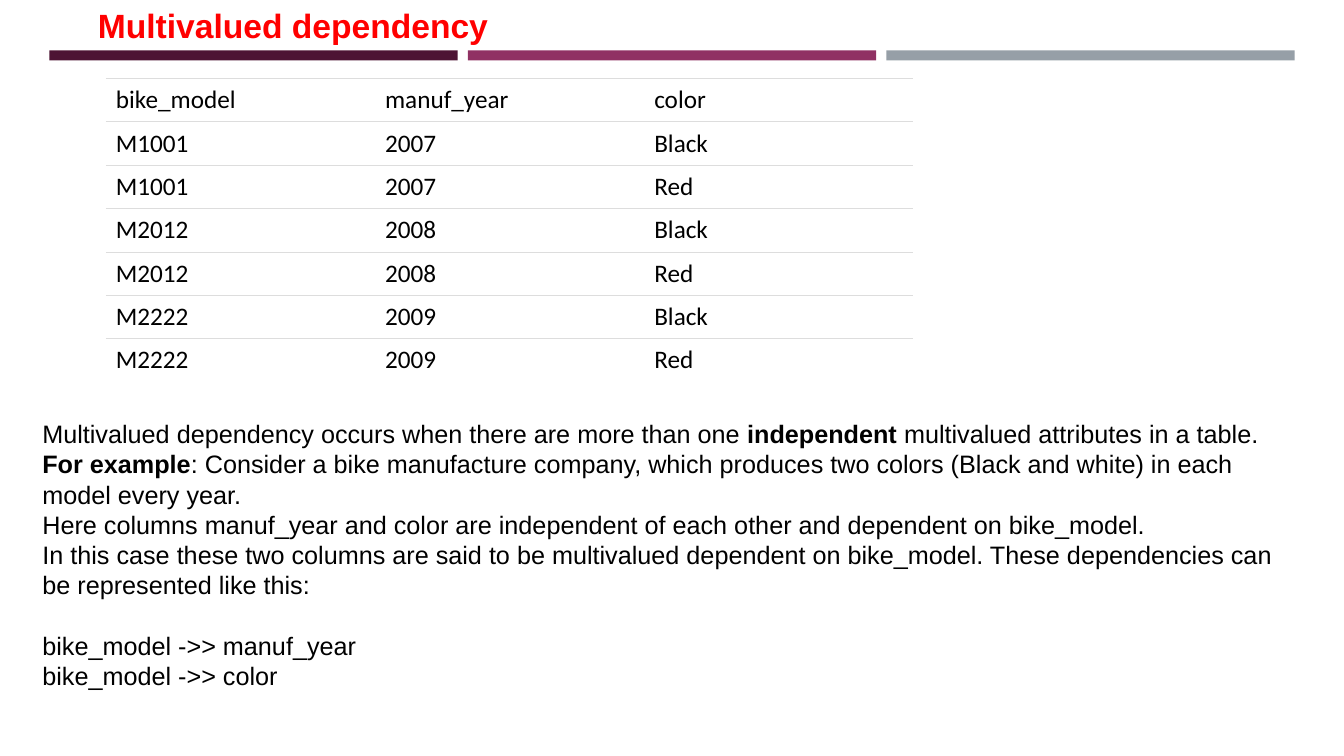
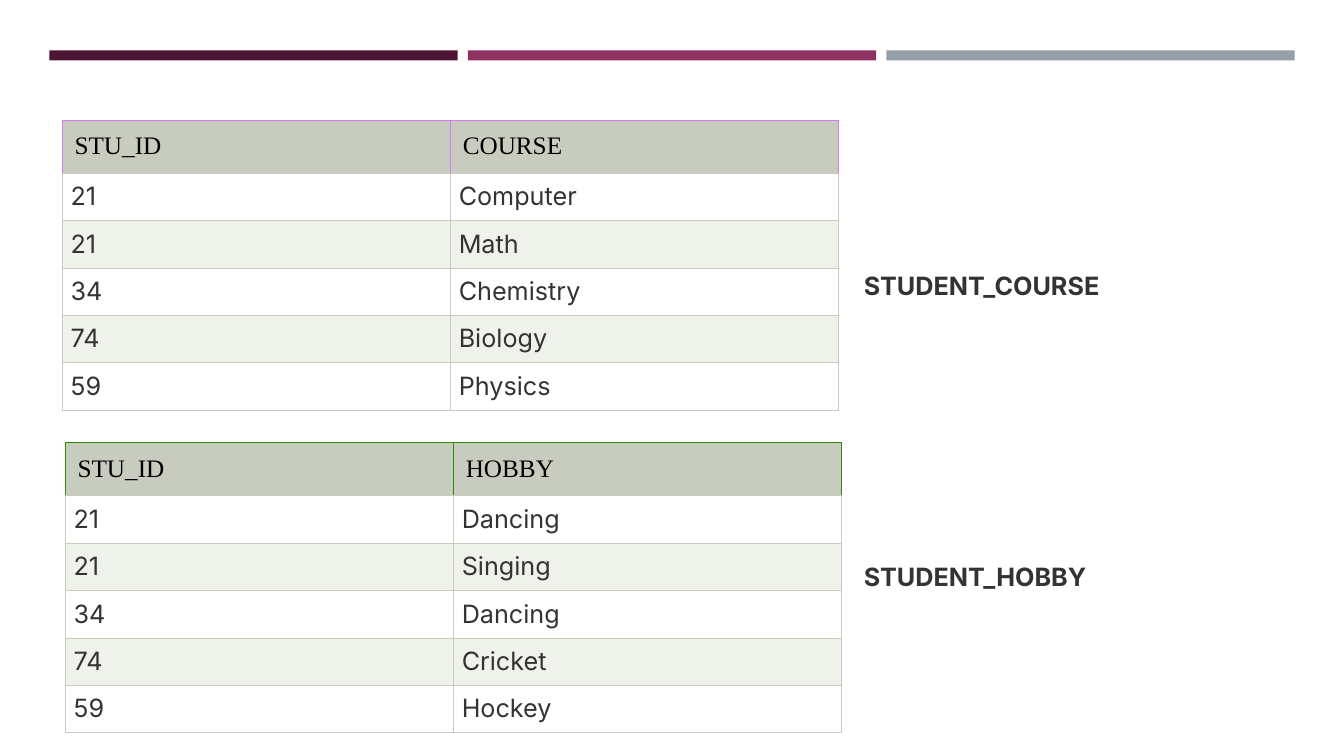
import pptx
import pptx.dml.color
import pptx.enum.shapes
import pptx.enum.text
import pptx.oxml
import pptx.oxml.ns
import pptx.util

Inches = pptx.util.Inches
Pt = pptx.util.Pt
ALIGN = pptx.enum.text.PP_ALIGN
ANCHOR = pptx.enum.text.MSO_ANCHOR

COLORS = {
    "plum": "4D1434", "magenta": "903163", "slate": "969FA7",
    "title": "FF0000", "black": "000000", "ink": "333333",
    "rule": "DDDDDD", "sage": "C7CCBE", "pale": "EFF1EB", "white": "FFFFFF",
    "violet": "D879F5", "green": "308A09",
}
LAYOUT_CONTENT, LAYOUT_BLANK = 1, 6

BIKES = [("bike_model", "manuf_year", "color")] + [
    (model, year, color)
    for model, year in (("M1001", "2007"), ("M2012", "2008"), ("M2222", "2009"))
    for color in ("Black", "Red")
]
STUDENT_IDS = ("21", "21", "34", "74", "59")
COURSES = ("Computer", "Math", "Chemistry", "Biology", "Physics")
HOBBIES = ("Dancing", "Singing", "Dancing", "Cricket", "Hockey")

# Each paragraph is a list of (text, bold) spans.
EXPLANATION = [
    [("Multivalued dependency occurs when there are more than one ", False),
     ("independent", True),
     (" multivalued attributes in a table.", False)],
    [("For example", True),
     (": Consider a bike manufacture company, which produces two colors "
      "(Black and white) in each model every year.", False)],
    [("Here columns manuf_year and color are independent of each other and "
      "dependent on bike_model.", False)],
    [("In this case these two columns are said to be multivalued dependent on "
      "bike_model. These dependencies can be represented like this:", False)],
    [("bike_model ->> manuf_year", False)],
    [("bike_model ->> color", False)],
]
FIRST_FORMULA = 4


def rgb(name):
    return pptx.dml.color.RGBColor.from_string(COLORS[name])


def style_font(font, name, color, size=18, bold=False):
    font.name = name
    font.size = Pt(size)
    font.bold = bold
    font.color.rgb = rgb(color)


def place(shape, left, top, width, height):
    shape.left, shape.top = Inches(left), Inches(top)
    shape.width, shape.height = Inches(width), Inches(height)


def add_master_bands(deck, page):
    """Draw the three bands on a page, then move them to the slide master."""
    master_tree = deck.slide_master.shapes.element
    for index, color in enumerate(("plum", "magenta", "slate")):
        band = page.shapes.add_shape(
            pptx.enum.shapes.MSO_SHAPE.RECTANGLE,
            Inches(0.49 + index * 4.15), Inches(0.5), Inches(4.05), Inches(0.1))
        band.name = f"Band {index + 1}"
        band.shadow.inherit = False
        band.fill.solid()
        band.fill.fore_color.rgb = rgb(color)
        band.line.fill.background()
        band.element.nvSpPr.cNvPr.set("id", str(20 + index))
        master_tree.append(band.element)


def set_borders(cell, **edges):
    """Give each named edge (L, R, T, B) a colour, or None for no line."""
    properties = cell._tc.get_or_add_tcPr()
    for edge in "LRTB":
        color = edges.get(edge)
        paint = (f'<a:solidFill><a:srgbClr val="{COLORS[color]}"/></a:solidFill>'
                 if color else "<a:noFill/>")
        properties.append(pptx.oxml.parse_xml(
            f'<a:ln{edge} {pptx.oxml.ns.nsdecls("a")} w="{Pt(0.75)}">{paint}</a:ln{edge}>'))


def set_cell(cell, text, font_name, color, margins, align=ALIGN.LEFT,
             anchor=ANCHOR.TOP, fill=None):
    cell.margin_left = cell.margin_right = Inches(margins[0])
    cell.margin_top = cell.margin_bottom = Inches(margins[1])
    cell.vertical_anchor = anchor
    if fill:
        cell.fill.solid()
        cell.fill.fore_color.rgb = rgb(fill)
    else:
        cell.fill.background()
    para = cell.text_frame.paragraphs[0]
    para.text = text
    para.alignment = align
    style_font(para.runs[0].font, font_name, color)


def add_plain_table(page, left, top, column_width, row_heights):
    """Add a table with equal columns and no style bands."""
    columns = len(column_width)
    table = page.shapes.add_table(
        len(row_heights), columns, Inches(left), Inches(top),
        Inches(sum(column_width)), Inches(sum(row_heights))).table
    table.first_row = table.horz_banding = False
    for column, width in zip(table.columns, column_width):
        column.width = Inches(width)
    for row, height in zip(table.rows, row_heights):
        row.height = Inches(height)
    return table


def add_bike_table(page, left, top):
    table = add_plain_table(page, left, top, [2.67] * 3, [0.43] * len(BIKES))
    for row, values in enumerate(BIKES):
        bottom = "rule" if row < len(BIKES) - 1 else None
        for column, text in enumerate(values):
            cell = table.cell(row, column)
            set_borders(cell, T="rule", B=bottom)
            set_cell(cell, text, "Calibri", "black", (0.1, 0.06),
                     anchor=ANCHOR.MIDDLE)


def add_student_table(page, left, top, heading, values, accent):
    rows = [("STU_ID", heading), *zip(STUDENT_IDS, values)]
    table = add_plain_table(page, left, top, [3.85] * 2,
                            [0.53] + [0.47] * len(values))
    for row, texts in enumerate(rows):
        for column, text in enumerate(texts):
            cell = table.cell(row, column)
            if row == 0:
                set_borders(cell, L=accent, R=accent, T=accent, B="sage")
                set_cell(cell, text, "Times New Roman", "black", (0.12, 0.12),
                         fill="sage")
            else:
                set_borders(cell, **dict.fromkeys("LRTB", "sage"))
                set_cell(cell, text, "Inter", "ink", (0.08, 0.08),
                         align=ALIGN.JUSTIFY,
                         fill="white" if row % 2 else "pale")


def add_table_label(page, left, top, text):
    box = page.shapes.add_textbox(Inches(left), Inches(top), Inches(4.5), Inches(0.4))
    box.text_frame.word_wrap = True
    para = box.text_frame.paragraphs[0]
    para.text = text
    para.alignment = ALIGN.JUSTIFY
    style_font(para.runs[0].font, "Inter", "ink", bold=True)


def fill_title(title, text):
    place(title, 0.87, 0, 4.11, 0.5)
    frame = title.text_frame
    frame.text = text
    frame.word_wrap = False
    frame.auto_size = pptx.enum.text.MSO_AUTO_SIZE.NONE
    frame.vertical_anchor = ANCHOR.TOP
    para = frame.paragraphs[0]
    para.alignment = ALIGN.LEFT
    style_font(para.runs[0].font, "Arial", "title", 24, True)


def fill_explanation(body):
    place(body, 0.32, 4.15, 12.58, 2.8)
    frame = body.text_frame
    frame.auto_size = pptx.enum.text.MSO_AUTO_SIZE.NONE
    frame.vertical_anchor = ANCHOR.TOP
    frame.margin_top = 0
    for index, spans in enumerate(EXPLANATION):
        para = frame.paragraphs[0] if index == 0 else frame.add_paragraph()
        properties = para._p.get_or_add_pPr()
        properties.set("marL", "0")
        properties.set("indent", "0")
        properties.append(pptx.oxml.parse_xml(
            f'<a:buNone {pptx.oxml.ns.nsdecls("a")}/>'))
        para.line_spacing = Pt(21.6)
        para.space_before = Pt(21.6 if index == FIRST_FORMULA else 0)
        for text, bold in spans:
            span = para.add_run()
            span.text = text
            style_font(span.font, "Arial", "black", bold=bold)


def build_dependency_page(deck):
    page = deck.slides.add_slide(deck.slide_layouts[LAYOUT_CONTENT])
    fill_title(page.shapes.title, "Multivalued dependency")
    fill_explanation(page.placeholders[1])
    add_bike_table(page, 1.05, 0.78)
    return page


def build_student_page(deck):
    page = deck.slides.add_slide(deck.slide_layouts[LAYOUT_BLANK])
    add_student_table(page, 0.62, 1.19, "COURSE", COURSES, "violet")
    add_student_table(page, 0.65, 4.39, "HOBBY", HOBBIES, "green")
    add_table_label(page, 8.47, 2.63, "STUDENT_COURSE")
    add_table_label(page, 8.47, 5.52, "STUDENT_HOBBY")


def main():
    deck = pptx.Presentation()
    deck.slide_width, deck.slide_height = Inches(13.33), Inches(7.5)
    add_master_bands(deck, build_dependency_page(deck))
    build_student_page(deck)
    deck.save("out.pptx")


if __name__ == "__main__":
    main()
